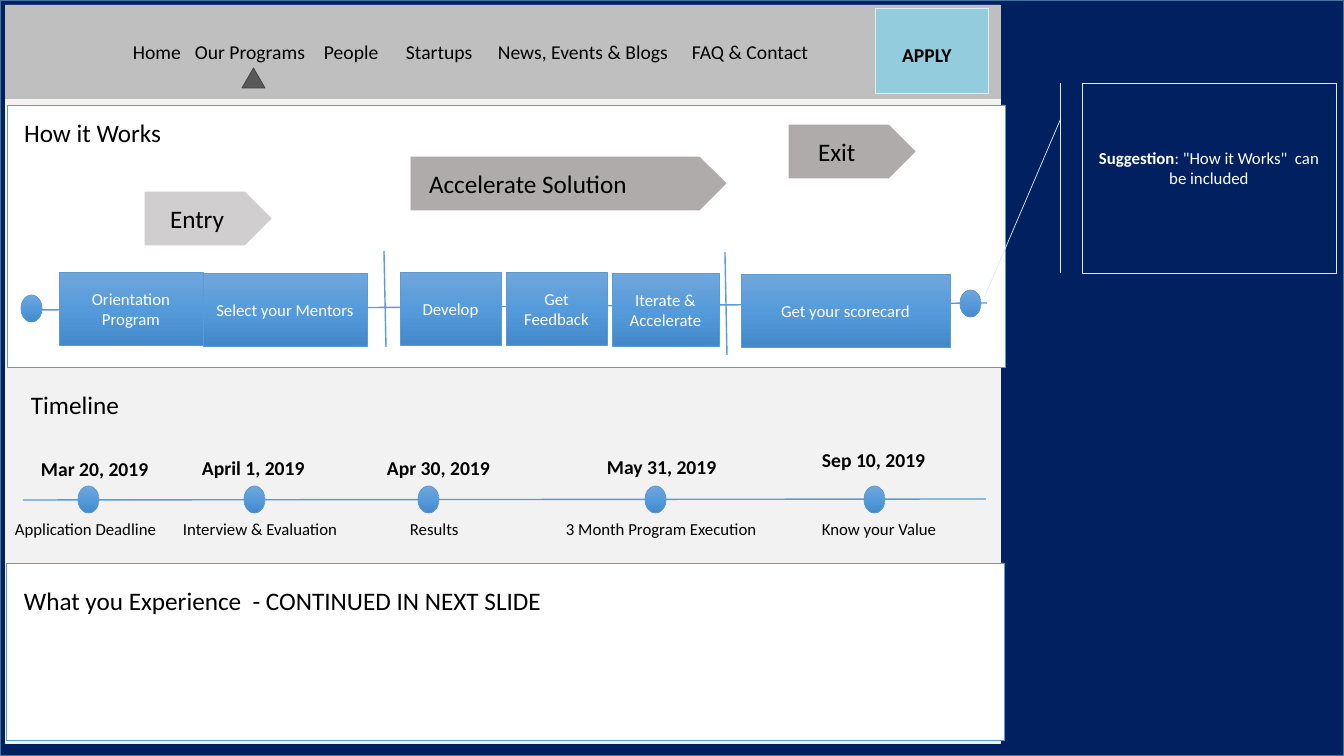
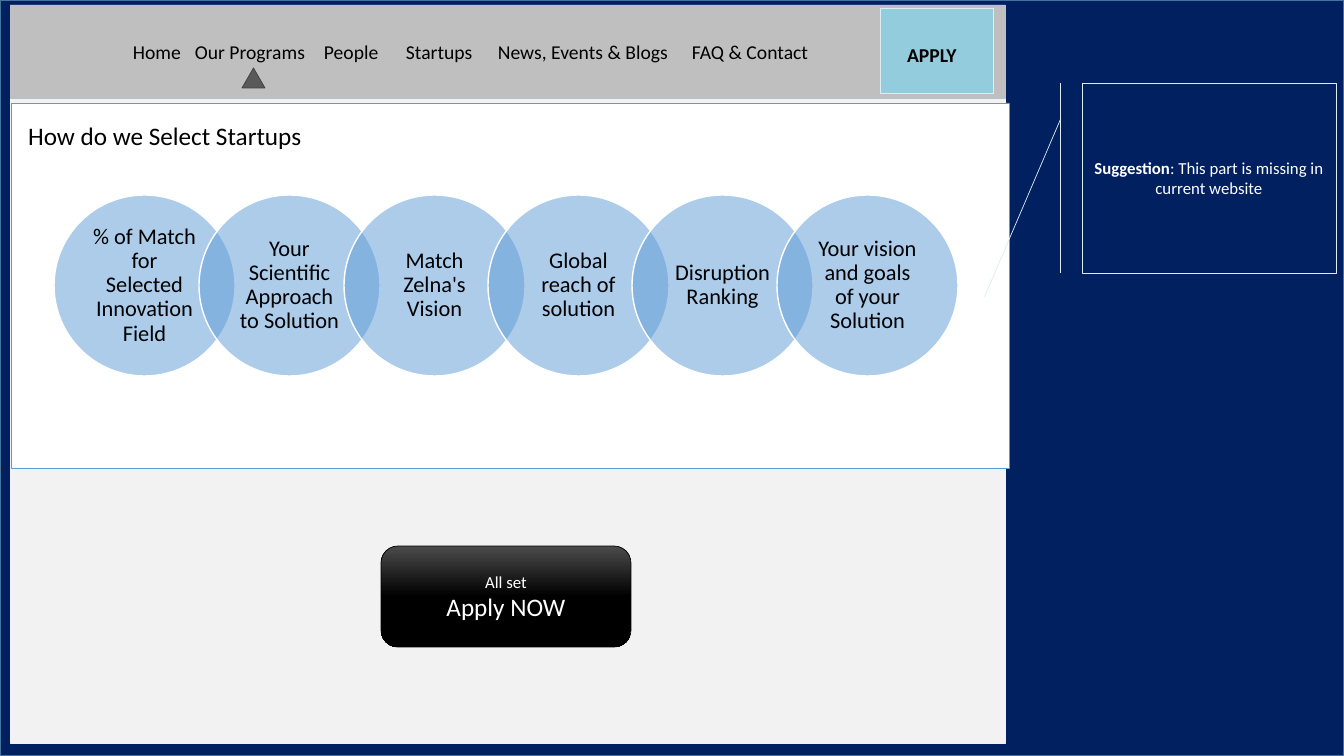
from copy import deepcopy

from lxml import etree
from pptx import Presentation
from pptx import util as u
from pptx.dml.color import RGBColor
from pptx.enum import shapes, text
from pptx.oxml.ns import qn

PX = 9071  # EMU per pixel
PRESET = shapes.MSO_SHAPE
LEFT, CENTER = text.PP_ALIGN.LEFT, text.PP_ALIGN.CENTER
TOP, MIDDLE = text.MSO_ANCHOR.TOP, text.MSO_ANCHOR.MIDDLE

NAVY = RGBColor(0x00, 0x20, 0x60)
NAVY_EDGE = RGBColor(0x43, 0x73, 0x9E)
PAGE_GRAY = RGBColor(0xF2, 0xF2, 0xF2)
HEADER_GRAY = RGBColor(0xBF, 0xBF, 0xBF)
AQUA = RGBColor(0x93, 0xCD, 0xDD)
AQUA_EDGE = RGBColor(0xDB, 0xEE, 0xF4)
NOTE_EDGE = RGBColor(0xDE, 0xEB, 0xF7)
BLUE = RGBColor(0x5B, 0x9B, 0xD5)
LIGHT_GRAY = RGBColor(0xD0, 0xCE, 0xCE)
WARM_GRAY = RGBColor(0xAF, 0xAB, 0xAB)
MARKER = RGBColor(0x59, 0x59, 0x59)
MARKER_EDGE = RGBColor(0x40, 0x40, 0x40)
WHITE = RGBColor(0xFF, 0xFF, 0xFF)
BLACK = RGBColor(0x00, 0x00, 0x00)
BLUE_FADE = [RGBColor(0x71, 0xA6, 0xDB), RGBColor(0x55, 0x9B, 0xDB), RGBColor(0x44, 0x8A, 0xCA)]
BLACK_FADE = [RGBColor(0x4B, 0x4B, 0x4B), BLACK, BLACK]


def draw(slide, preset, box, fill, edge, weight=0.5):
    """Add a preset shape; a list of three colours fills it top to bottom."""
    shape = slide.shapes.add_shape(preset, *[v * PX for v in box])
    shape.shadow.inherit = False
    if isinstance(fill, list):
        shape.fill.gradient()
        shape.fill.gradient_angle = 270
        stop_list = shape._element.spPr.find(".//" + qn("a:gsLst"))
        stop_list.insert(1, deepcopy(stop_list[0]))
        for stop, colour, position in zip(shape.fill.gradient_stops, fill, (0, 0.5, 1)):
            stop.color.rgb, stop.position = colour, position
    else:
        shape.fill.solid()
        shape.fill.fore_color.rgb = fill
    shape.line.color.rgb = edge
    shape.line.width = u.Pt(weight)
    return shape


def write(shape, paragraphs, colour=BLACK, align=LEFT, anchor=TOP, spacing=1.0, **margins):
    """Fill a shape with paragraphs of (wording, size, bold) runs; margins in px."""
    frame = shape.text_frame
    layout = {"word_wrap": True, "auto_size": text.MSO_AUTO_SIZE.NONE, "vertical_anchor": anchor}
    layout.update({f"margin_{side}": value * PX for side, value in margins.items()})
    for name, value in layout.items():
        setattr(frame, name, value)
    for index, runs in enumerate(paragraphs):
        paragraph = frame.add_paragraph() if index else frame.paragraphs[0]
        paragraph.alignment = align
        paragraph.line_spacing = spacing
        for wording, size, bold in runs:
            run = paragraph.add_run()
            run.text = wording
            for name, value in {"name": "Calibri", "size": u.Pt(size), "bold": bold}.items():
                setattr(run.font, name, value)
            run.font.color.rgb = colour


deck = Presentation()
deck.slide_width, deck.slide_height = 1344 * PX, 756 * PX

menu = [("Home", 123, 109), ("Our Programs", 185, 166), ("People", 314, 113),
        ("Startups", 396, 104), ("News, Events & Blogs", 488, 195), ("FAQ & Contact", 682, 151)]

pages = [
    {"shift": 0, "panels": [(7, 105, 998, 262), (6, 563, 998, 177)],
     "heading": "How it Works", "heading_box": (14, 112, 302, 40),
     "note": ': "How it Works"  can be included', "note_bottom": 25},
    {"shift": 5, "panels": [(11, 103, 998, 365)],
     "heading": "How do we Select Startups", "heading_box": (18, 115, 584, 40),
     "note": ": This part is missing in current website", "note_bottom": 5},
]

# Shared page: backdrop, header, menu, panels, heading and suggestion
for page in pages:
    slide = deck.slides.add_slide(deck.slide_layouts[5])
    shift = page["shift"]
    draw(slide, PRESET.RECTANGLE, (0, 0, 1344, 756), NAVY, NAVY_EDGE, 1)
    draw(slide, PRESET.RECTANGLE, (5 + shift, 5, 995, 738), PAGE_GRAY, PAGE_GRAY)
    draw(slide, PRESET.RECTANGLE, (5 + shift, 5, 995, 93), HEADER_GRAY, HEADER_GRAY)
    apply_box = draw(slide, PRESET.RECTANGLE, (875 + shift, 8, 113, 85), AQUA, AQUA_EDGE)
    write(apply_box, [[("APPLY", 14, True)]], left=27, top=35)
    for item, x, width in menu:
        entry = slide.shapes.add_textbox(x * PX, 35 * PX, width * PX, 34 * PX)
        write(entry, [[(item, 14, False)]])
    draw(slide, PRESET.ISOSCELES_TRIANGLE, (242, 68, 23, 20), MARKER, MARKER_EDGE)
    for panel in page["panels"]:
        draw(slide, PRESET.RECTANGLE, panel, WHITE, BLUE)

    heading = slide.shapes.title
    heading.left, heading.top, heading.width, heading.height = [v * PX for v in page["heading_box"]]
    write(heading, [[(page["heading"], 18, False)]])
    heading._element.getparent().append(heading._element)  # in front of the panel

    suggestion = draw(slide, PRESET.LINE_CALLOUT_1_BORDER_AND_ACCENT_BAR,
                      (1082, 83, 254, 190), NAVY, NOTE_EDGE)
    write(suggestion, [[("Suggestion", 12, True), (page["note"], 12, False)]],
          WHITE, CENTER, MIDDLE, bottom=page["note_bottom"])

program, selection = deck.slides

# Program: process track, phase dividers and timeline axis
for ends in [(32, 310, 987, 303), (384, 251, 386, 347), (725, 252, 727, 355), (23, 500, 986, 499)]:
    line = program.shapes.add_connector(shapes.MSO_CONNECTOR.STRAIGHT, *[v * PX for v in ends])
    line.line.color.rgb = BLUE
    line.line.width = u.Pt(1)
    etree.SubElement(line._element.spPr, qn("a:effectLst"))

# Program: steps on the track
steps = [("Orientation Program", 59, 272, 144), ("Select your Mentors", 203, 273, 164),
         ("Develop", 400, 272, 101), ("Get Feedback", 506, 272, 101),
         ("Iterate & Accelerate", 612, 273, 107), ("Get your scorecard", 741, 274, 209)]
for step, x, y, width in steps:
    step_box = draw(program, PRESET.RECTANGLE, (x, y, width, 73), BLUE_FADE, BLUE)
    write(step_box, [[(step, 12, False)]], WHITE, CENTER, MIDDLE)

# Program: phases above the track
phases = [("Entry", (145, 192, 126, 53), LIGHT_GRAY, 25),
          ("Accelerate Solution", (411, 157, 315, 53), WARM_GRAY, 18),
          ("Exit", (789, 125, 126, 53), WARM_GRAY, 29)]
for phase, box, gray, indent in phases:
    arrow = draw(program, PRESET.PENTAGON, box, gray, gray)
    write(arrow, [[(phase, 18, False)]], anchor=MIDDLE, left=indent, right=0)

# Program: end points of the track and timeline dots
for x, y in [(21, 295), (960, 290), (78, 486), (244, 486), (418, 486), (645, 486), (864, 486)]:
    draw(program, PRESET.OVAL, (x, y, 21, 27), BLUE_FADE, BLUE)

# Program: section headings, dates and milestones
labels = [("Timeline", 21, 384, 302, 18, False),
          ("What you Experience  - CONTINUED IN NEXT SLIDE", 14, 580, 584, 18, False)]
milestones = [("Mar 20, 2019", 31, 452, "Application Deadline", 5),
              ("April 1, 2019", 192, 451, "Interview & Evaluation", 173),
              ("Apr 30, 2019", 377, 451, "Results", 400),
              ("May 31, 2019", 597, 450, "3 Month Program Execution", 556),
              ("Sep 10, 2019", 812, 443, "Know your Value", 812)]
for date, date_x, date_y, milestone, milestone_x in milestones:
    labels += [(date, date_x, date_y, 143, 14, True),
               (milestone, milestone_x, 514, 220, 12, False)]
for wording, x, y, width, size, bold in labels:
    label = program.shapes.add_textbox(x * PX, y * PX, width * PX, 36 * PX)
    write(label, [[(wording, size, bold)]])

# Selection: chain of overlapping criteria
criteria = ["% of Match for Selected Innovation Field", "Your Scientific Approach to Solution",
            "Match Zelna's Vision", "Global reach of solution", "Disruption Ranking",
            "Your vision and goals of your Solution"]
DIAMETER, STEP = 181, 144.5
for index, criterion in enumerate(criteria):
    x = round(54.5 + index * STEP)
    circle = draw(selection, PRESET.OVAL, (x, 195, DIAMETER, DIAMETER), BLUE, WHITE, 1)
    colour = circle._element.spPr.find(".//" + qn("a:srgbClr"))
    etree.SubElement(colour, qn("a:alpha"), val="50000")
    write(circle, [[(criterion, 16, False)]], BLACK, CENTER, MIDDLE, 0.9,
          left=10, right=10, top=2, bottom=2)

# Selection: call to action
button = draw(selection, PRESET.ROUNDED_RECTANGLE, (381, 546, 250, 101), BLACK_FADE, BLACK)
write(button, [[("All set", 12, False)], [("Apply NOW", 18, False)]], WHITE, CENTER, MIDDLE)

deck.save("out.pptx")
